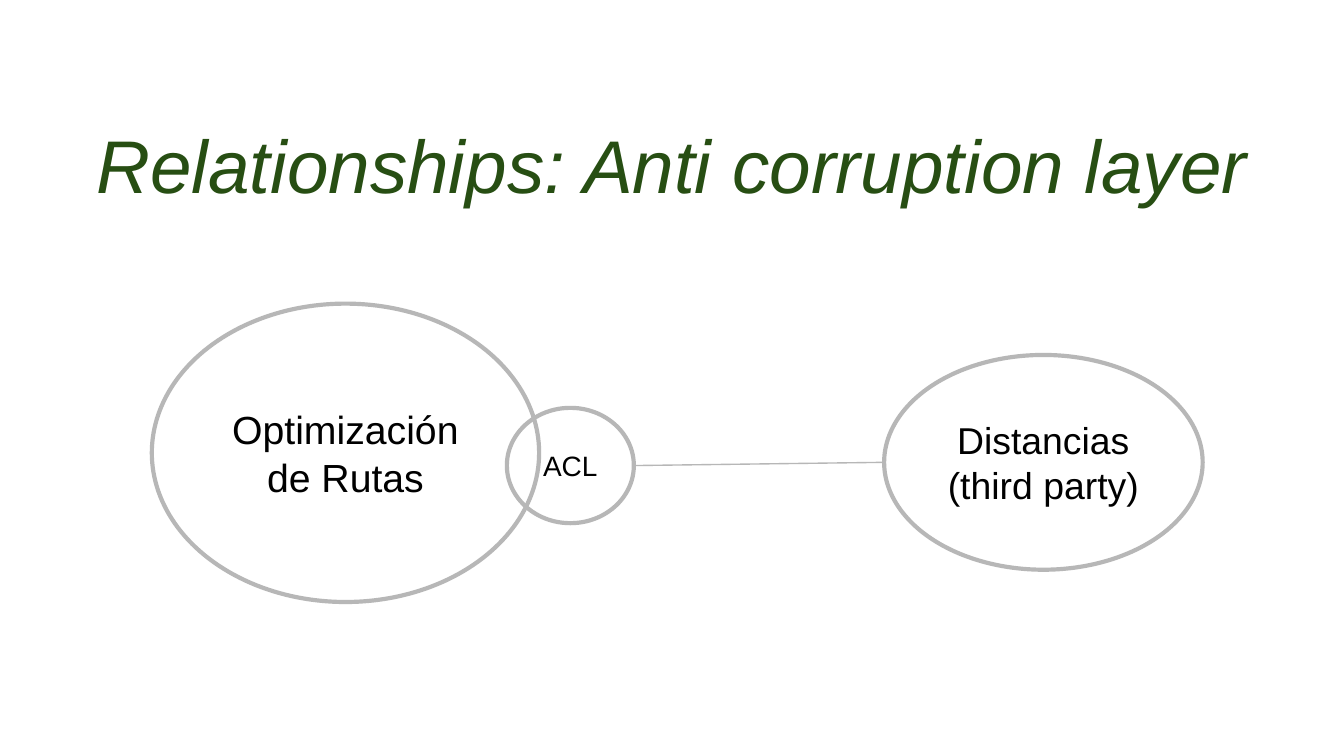
from dataclasses import dataclass

from lxml import etree
from pptx import Presentation
from pptx.dml.color import RGBColor
from pptx.enum.shapes import MSO_CONNECTOR, MSO_SHAPE
from pptx.enum.text import MSO_ANCHOR, PP_ALIGN
from pptx.oxml.ns import qn
from pptx.util import Cm, Pt

ELLIPSE = MSO_SHAPE.OVAL
STRAIGHT = MSO_CONNECTOR.STRAIGHT
MIDDLE = MSO_ANCHOR.MIDDLE
CENTER = PP_ALIGN.CENTER
BLANK_LAYOUT = 6


@dataclass(frozen=True)
class Theme:
    font: str = "Arial"
    background: RGBColor = RGBColor(0xFF, 0xFF, 0xFF)
    title_color: RGBColor = RGBColor(0x27, 0x4E, 0x13)
    text_color: RGBColor = RGBColor(0x00, 0x00, 0x00)
    line_color: RGBColor = RGBColor(0xB7, 0xB7, 0xB7)
    title_size: float = 40
    large_size: float = 21
    medium_size: float = 20
    small_size: float = 15
    outline_width: float = 2.25
    link_width: float = 0.75
    inset: float = 0.25


def write_text(shape, text, *, theme, size, color, italic=False, line_spacing=None):
    """Fill the shape with centred text, one paragraph for each line."""
    frame = shape.text_frame
    frame.word_wrap = True
    frame.vertical_anchor = MIDDLE
    frame.margin_left = frame.margin_right = Cm(theme.inset)
    frame.margin_top = frame.margin_bottom = Cm(theme.inset)
    frame.text = text
    for paragraph in frame.paragraphs:
        paragraph.alignment = CENTER
        paragraph.line_spacing = line_spacing
        for run in paragraph.runs:
            run.font.name = theme.font
            run.font.size = Pt(size)
            run.font.italic = italic
            run.font.color.rgb = color


class ContextMap:
    def __init__(self, slide, theme):
        self.slide = slide
        self.theme = theme
        slide.background.fill.solid()
        slide.background.fill.fore_color.rgb = theme.background

    def title(self, text, left, top, width, height):
        box = self.slide.shapes.add_textbox(Cm(left), Cm(top), Cm(width), Cm(height))
        write_text(box, text, theme=self.theme, size=self.theme.title_size,
                   color=self.theme.title_color, italic=True, line_spacing=1.44)

    def context(self, text, left, top, width, height, size):
        """Draw a bounded context as an unfilled ellipse."""
        ellipse = self.slide.shapes.add_shape(
            ELLIPSE, Cm(left), Cm(top), Cm(width), Cm(height))
        ellipse.shadow.inherit = False
        ellipse.fill.background()
        ellipse.line.color.rgb = self.theme.line_color
        ellipse.line.width = Pt(self.theme.outline_width)
        write_text(ellipse, text, theme=self.theme, size=size,
                   color=self.theme.text_color)
        return ellipse

    def link(self, source, target):
        """Join the right end of source to the left end of target."""
        connector = self.slide.shapes.add_connector(
            STRAIGHT,
            source.left + source.width, source.top + source.height // 2,
            target.left, target.top + target.height // 2)
        connector.line.color.rgb = self.theme.line_color
        connector.line.width = Pt(self.theme.link_width)
        properties = connector.element.find(qn("p:spPr"))
        etree.SubElement(properties, qn("a:effectLst"))


def main():
    presentation = Presentation()
    presentation.slide_width = Cm(25.4)
    presentation.slide_height = Cm(14.29)
    slide = presentation.slides.add_slide(presentation.slide_layouts[BLANK_LAYOUT])
    theme = Theme()
    context_map = ContextMap(slide, theme)

    context_map.title("Relationships: Anti corruption layer", 1.5, 1.24, 22.38, 2.95)
    context_map.context("Optimización de Rutas", 2.87, 5.74, 7.32, 5.64,
                        theme.large_size)
    distances = context_map.context("Distancias\n(third party)", 16.71, 6.71, 6.02, 4.06,
                                    theme.medium_size)
    anti_corruption_layer = context_map.context("ACL", 9.58, 7.71, 2.4, 2.18,
                                                theme.small_size)
    context_map.link(anti_corruption_layer, distances)

    presentation.save("out.pptx")


if __name__ == "__main__":
    main()
